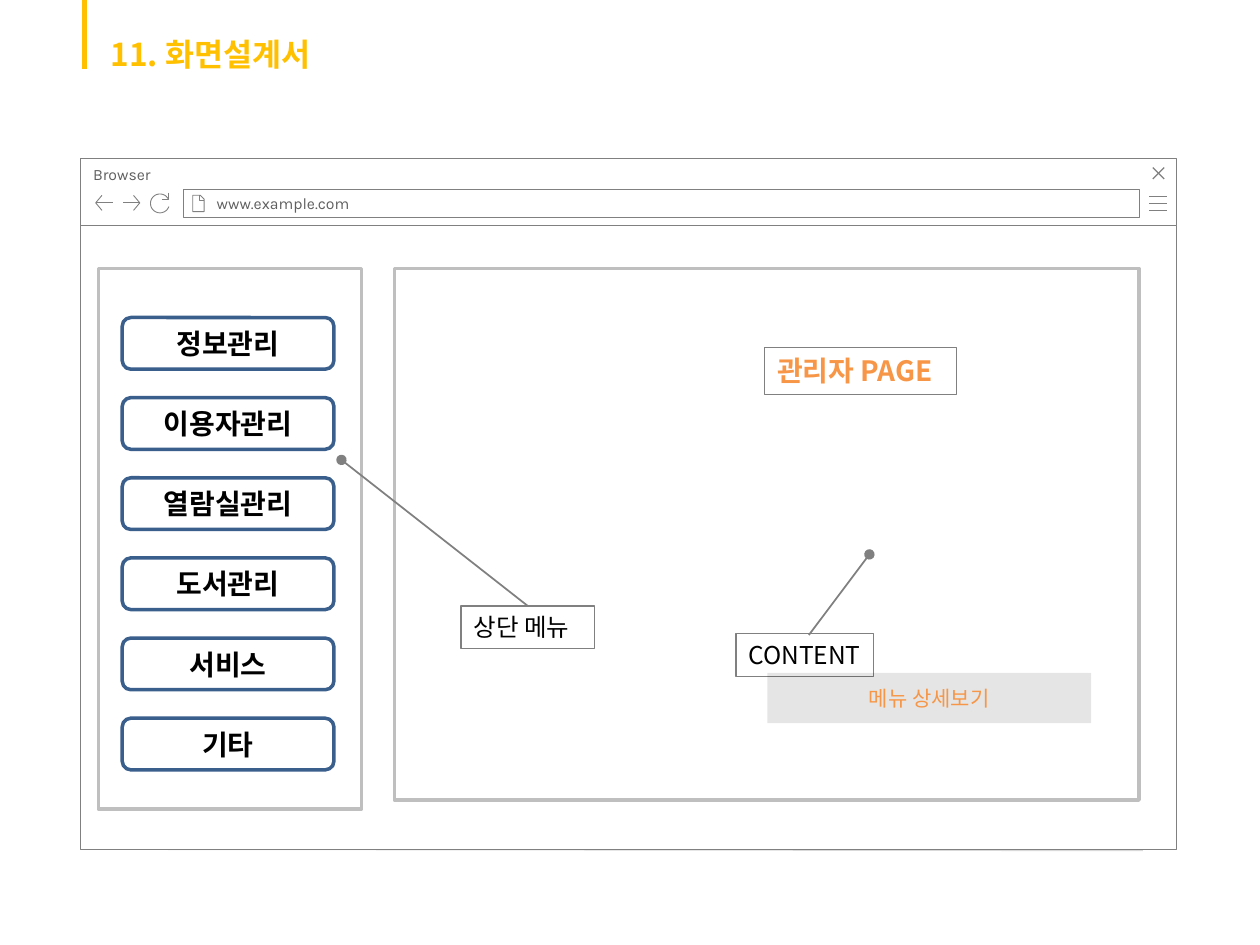
from math import cos, radians, sin

from lxml import etree
from pptx import Presentation
from pptx.dml.color import RGBColor
from pptx.enum import shapes, text
from pptx.oxml.ns import qn
from pptx.util import Inches, Pt

YELLOW = RGBColor(0xFF, 0xC0, 0x00)
ORANGE = RGBColor(0xF7, 0x96, 0x46)
NAVY = RGBColor(0x3A, 0x5F, 0x8C)
BLACK = RGBColor(0, 0, 0)
WHITE = RGBColor(0xFF, 0xFF, 0xFF)
GRAY = RGBColor(0x80, 0x80, 0x80)
SILVER = RGBColor(0xBF, 0xBF, 0xBF)
PALE = RGBColor(0xD9, 0xD9, 0xD9)
DARK = RGBColor(0x5F, 0x5F, 0x5F)

KOREAN, LATIN = "Noto Sans CJK KR", "Karla"
RECT = shapes.MSO_SHAPE.RECTANGLE
ROUND = shapes.MSO_SHAPE.ROUNDED_RECTANGLE
TOP, MIDDLE = text.MSO_ANCHOR.TOP, text.MSO_ANCHOR.MIDDLE
LEFT, CENTER = text.PP_ALIGN.LEFT, text.PP_ALIGN.CENTER

MENU = ["정보관리", "이용자관리", "열람실관리", "도서관리", "서비스", "기타"]
MENU_TOP, MENU_PITCH = 2.52, 0.636
PANELS = [(0.78, 2.13, 2.09, 4.29), (3.13, 2.13, 5.91, 4.22)]
# wording, box, size, colour, bold
LABELS = [
    ("상단 메뉴", (3.66, 4.81, 1.06, 0.34), 14, BLACK, False),
    ("관리자 PAGE", (6.07, 2.76, 1.52, 0.37), 16, ORANGE, True),
    ("CONTENT", (5.84, 5.03, 1.09, 0.34), 14, BLACK, False),
]
RELOAD_ARC = [(1.27 + 0.075 * cos(radians(a)), 1.615 + 0.075 * sin(radians(a)))
              for a in range(20, 331, 10)]
# line width, strokes
ICONS = {
    "menu": (0.5, [[(9.12, y), (9.26, y)] for y in (1.56, 1.615, 1.67)]),
    "close": (0.75, [[(9.24, 1.33), (9.15, 1.42)], [(9.15, 1.33), (9.24, 1.42)]]),
    "page": (0.5, [[(1.58, 1.55), (1.58, 1.59), (1.62, 1.59)],
                   [(1.53, 1.55), (1.53, 1.68), (1.62, 1.68), (1.62, 1.58),
                    (1.59, 1.55), (1.53, 1.55)]]),
    "back": (0.5, [[(0.81, 1.67), (0.76, 1.61), (0.81, 1.55)],
                   [(0.76, 1.61), (0.9, 1.61)]]),
    "forward": (0.5, [[(1.06, 1.55), (1.11, 1.61), (1.06, 1.67)],
                      [(1.11, 1.61), (0.98, 1.61)]]),
    "reload": (0.5, [[(1.34, 1.53), (1.34, 1.58), (1.29, 1.58)], RELOAD_ARC]),
}

prs = Presentation()
prs.slide_width, prs.slide_height = Inches(10), Inches(7.5)
slide = prs.slides.add_slide(prs.slide_layouts[6])


def add_box(box, kind=RECT, fill=None, line=None, width=0.5):
    shape = slide.shapes.add_shape(kind, *map(Inches, box))
    shape.shadow.inherit = False
    paint(shape, fill, line, width)
    return shape


def paint(shape, fill, line, width):
    for part, color in ((shape.fill, fill), (shape.line.fill, line)):
        if color is None:
            part.background()
        else:
            part.solid()
            part.fore_color.rgb = color
    if line is not None:
        shape.line.width = Pt(width)


def write(shape, words, size, color, bold=False, font=KOREAN, align=LEFT,
          anchor=TOP, left=0.1, right=0.1, grow=False):
    frame = shape.text_frame
    frame.text = words
    frame.vertical_anchor = anchor
    frame.margin_left, frame.margin_right = Inches(left), Inches(right)
    frame.word_wrap = not grow
    if grow:
        frame.auto_size = text.MSO_AUTO_SIZE.SHAPE_TO_FIT_TEXT
    paragraph = frame.paragraphs[0]
    paragraph.alignment = align
    for run in paragraph.runs:
        run.font.size, run.font.bold, run.font.name = Pt(size), bold, font
        run.font.color.rgb = color
        east_asian = etree.SubElement(run.font._element, qn("a:ea"))
        east_asian.set("typeface", font)


def add_line(start, end, color, width, dot=False):
    line = slide.shapes.add_connector(
        shapes.MSO_CONNECTOR.STRAIGHT, *map(Inches, start + end))
    line.line.color.rgb = color
    line.line.width = Pt(width)
    if dot:
        etree.SubElement(line.line._get_or_add_ln(), qn("a:tailEnd")).set("type", "oval")
    etree.SubElement(line._element.spPr, qn("a:effectLst"))
    return line


def add_icon(width, strokes):
    points = [[(Inches(x), Inches(y)) for x, y in stroke] for stroke in strokes]
    builder = slide.shapes.build_freeform(*points[0][0])
    for number, stroke in enumerate(points):
        if number:
            builder.move_to(*stroke[0])
        builder.add_line_segments(stroke[1:], close=False)
    icon = builder.convert_to_shape()
    icon.shadow.inherit = False
    paint(icon, None, GRAY, width)


# Title mark and base line
add_line((0.67, -0.02), (0.67, 0.55), YELLOW, 3)
add_line((0.86, 6.73), (9.07, 6.74), PALE, 2.25)

# Browser window
add_box((0.64, 1.78, 8.7, 4.96), fill=WHITE, line=GRAY)
title_bar = add_box((0.64, 1.26, 8.7, 0.53), fill=WHITE, line=GRAY)
write(title_bar, "Browser", 9, DARK, font=LATIN, right=0.25)
address = add_box((1.46, 1.5, 7.58, 0.23), fill=WHITE, line=GRAY)
write(address, "www.example.com", 9, DARK, font=LATIN, anchor=MIDDLE, left=0.26)
for icon_width, icon_strokes in ICONS.values():
    add_icon(icon_width, icon_strokes)

# Side menu and content panel
for panel in PANELS:
    add_box(panel, line=SILVER, width=2)
for row, item in enumerate(MENU):
    button = add_box((0.97, MENU_TOP + row * MENU_PITCH, 1.68, 0.41), ROUND,
                     line=NAVY, width=2)
    write(button, item, 16, BLACK, True, align=CENTER, anchor=MIDDLE)

# Callouts
menu_pointer = add_line((4.19, 4.81), (2.71, 3.65), GRAY, 1, dot=True)
add_line((6.42, 5.04), (6.9, 4.4), GRAY, 1, dot=True)
labels = {}
for words, box, size, color, bold in LABELS:
    labels[words] = add_box(box, line=GRAY, width=0.75)
    write(labels[words], words, size, color, bold, grow=True)
menu_pointer.begin_connect(labels["상단 메뉴"], 0)

detail = add_box((6.09, 5.34, 2.57, 0.4), fill=BLACK)
shade = detail._element.spPr.find(qn("a:solidFill"))[0]
etree.SubElement(shade, qn("a:alpha")).set("val", "10000")
write(detail, "메뉴 상세보기", 12, ORANGE, align=CENTER, anchor=MIDDLE)

title = slide.shapes.add_textbox(*map(Inches, (0.78, 0.23, 1.91, 0.4)))
write(title, "11. 화면설계서", 18, YELLOW, True, grow=True)

prs.save("out.pptx")
